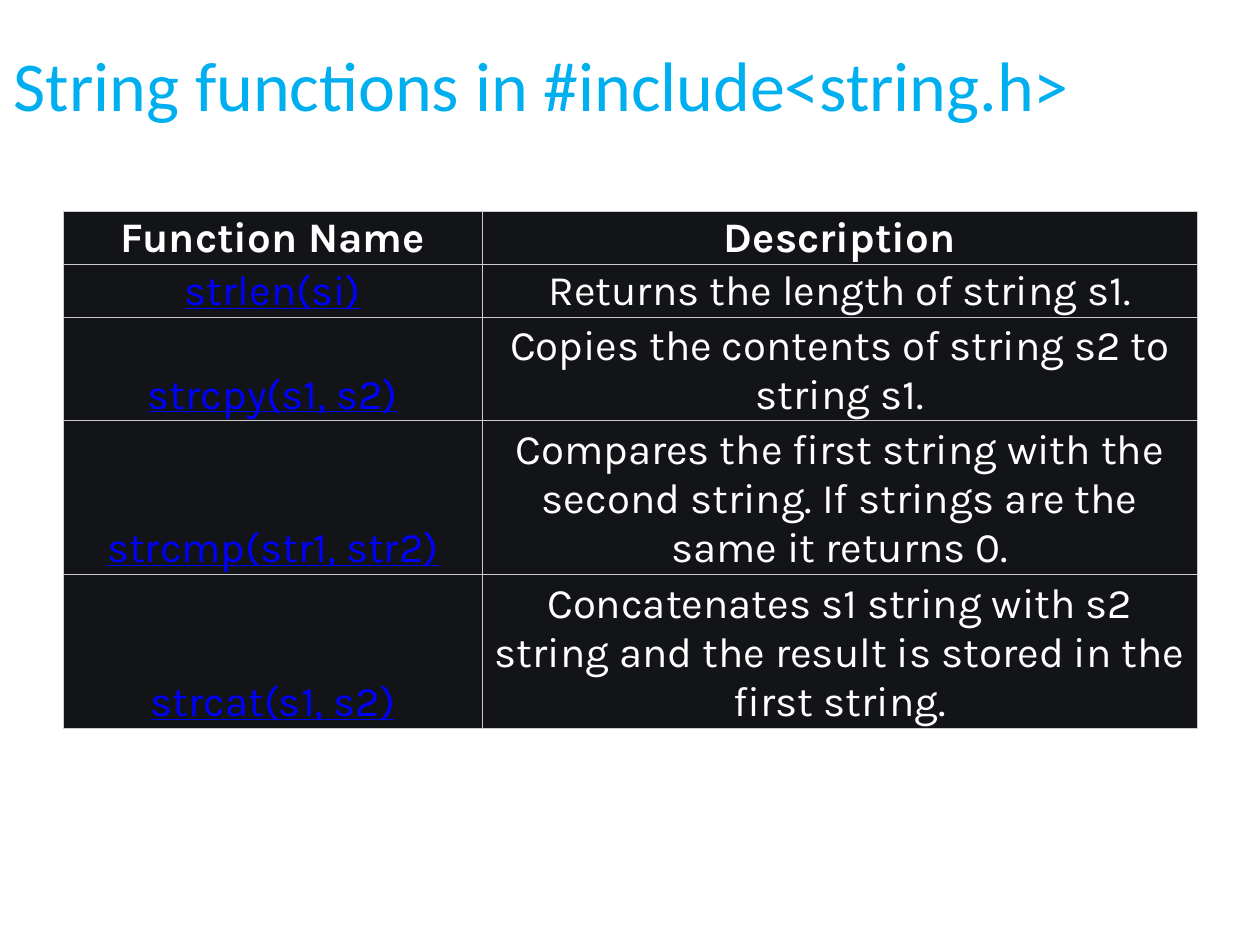
from typing import NamedTuple

from lxml.etree import SubElement
from pptx import Presentation
from pptx.dml.color import RGBColor
from pptx.enum.text import MSO_ANCHOR, PP_ALIGN
from pptx.oxml.ns import qn
from pptx.util import Inches, Pt

COLORS = {
    "title": "00AFEF",
    "cell": "131417",
    "text": "FFFFFF",
    "function": "0000FF",
    "border": "CCCCCC",
}
COLUMN_SHARES = (0.37, 0.63)
TABLE_WIDTH = 9
LINE_HEIGHT = 0.39
ROW_PADDING = 0.02


class FunctionRow(NamedTuple):
    name: str
    description: str
    lines: int
    header: bool = False


ROWS = [
    FunctionRow("Function Name", "Description", 1, header=True),
    FunctionRow("strlen(si)", "Returns the length of string s1.", 1),
    FunctionRow("strcpy(s1, s2)", "Copies the contents of string s2 to string s1.", 2),
    FunctionRow("strcmp(str1, str2)", "Compares the first string with the second string. "
                "If strings are the same it returns 0.", 3),
    FunctionRow("strcat(s1, s2)", "Concatenates s1 string with s2 string and the result "
                "is stored in the first string.", 3),
]


def color(key: str) -> RGBColor:
    return RGBColor.from_string(COLORS[key])


def add_borders(cell) -> None:
    properties = cell._tc.get_or_add_tcPr()
    for position, side in enumerate(("lnL", "lnR", "lnT", "lnB")):
        line = properties.makeelement(qn(f"a:{side}"), {"w": str(Pt(0.6))})
        fill = SubElement(line, qn("a:solidFill"))
        SubElement(fill, qn("a:srgbClr"), val=COLORS["border"])
        properties.insert(position, line)  # borders precede the cell fill


def fill_cell(cell, text: str, color_key: str, bold: bool, underline: bool) -> None:
    cell.text = text
    cell.vertical_anchor = MSO_ANCHOR.BOTTOM
    cell.margin_left = cell.margin_right = Inches(0.02)
    cell.margin_top = cell.margin_bottom = Inches(0.01)
    cell.fill.solid()
    cell.fill.fore_color.rgb = color("cell")
    paragraph = cell.text_frame.paragraphs[0]
    paragraph.alignment = PP_ALIGN.CENTER
    font = paragraph.font
    font.name, font.size = "Karla", Pt(24)
    font.bold, font.underline = bold, underline
    font.color.rgb = color(color_key)
    add_borders(cell)


def add_title(slide, text: str) -> None:
    title = slide.shapes.add_textbox(Inches(0.11), Inches(0.33), Inches(9.78), Inches(0.69))
    frame = title.text_frame
    frame.word_wrap = True
    frame.margin_left = frame.margin_right = frame.margin_top = frame.margin_bottom = 0
    frame.text = text
    font = frame.paragraphs[0].font
    font.name, font.size = "Calibri", Pt(40)
    font.color.rgb = color("title")


def add_function_table(slide, rows: list[FunctionRow]) -> None:
    heights = [row.lines * LINE_HEIGHT + ROW_PADDING for row in rows]
    table = slide.shapes.add_table(
        len(rows), len(COLUMN_SHARES), Inches(0.5), Inches(1.68),
        Inches(TABLE_WIDTH), Inches(sum(heights))).table
    for column, share in zip(table.columns, COLUMN_SHARES):
        column.width = Inches(TABLE_WIDTH * share)
    for index, (row, height) in enumerate(zip(rows, heights)):
        table.rows[index].height = Inches(height)
        name_color = "text" if row.header else "function"
        fill_cell(table.cell(index, 0), row.name, name_color, row.header, not row.header)
        fill_cell(table.cell(index, 1), row.description, "text", row.header, False)


def main() -> None:
    presentation = Presentation()
    presentation.slide_width, presentation.slide_height = Inches(10), Inches(7.5)
    slide = presentation.slides.add_slide(presentation.slide_layouts[6])
    add_title(slide, "String functions in #include<string.h>")
    add_function_table(slide, ROWS)
    presentation.save("out.pptx")


if __name__ == "__main__":
    main()
